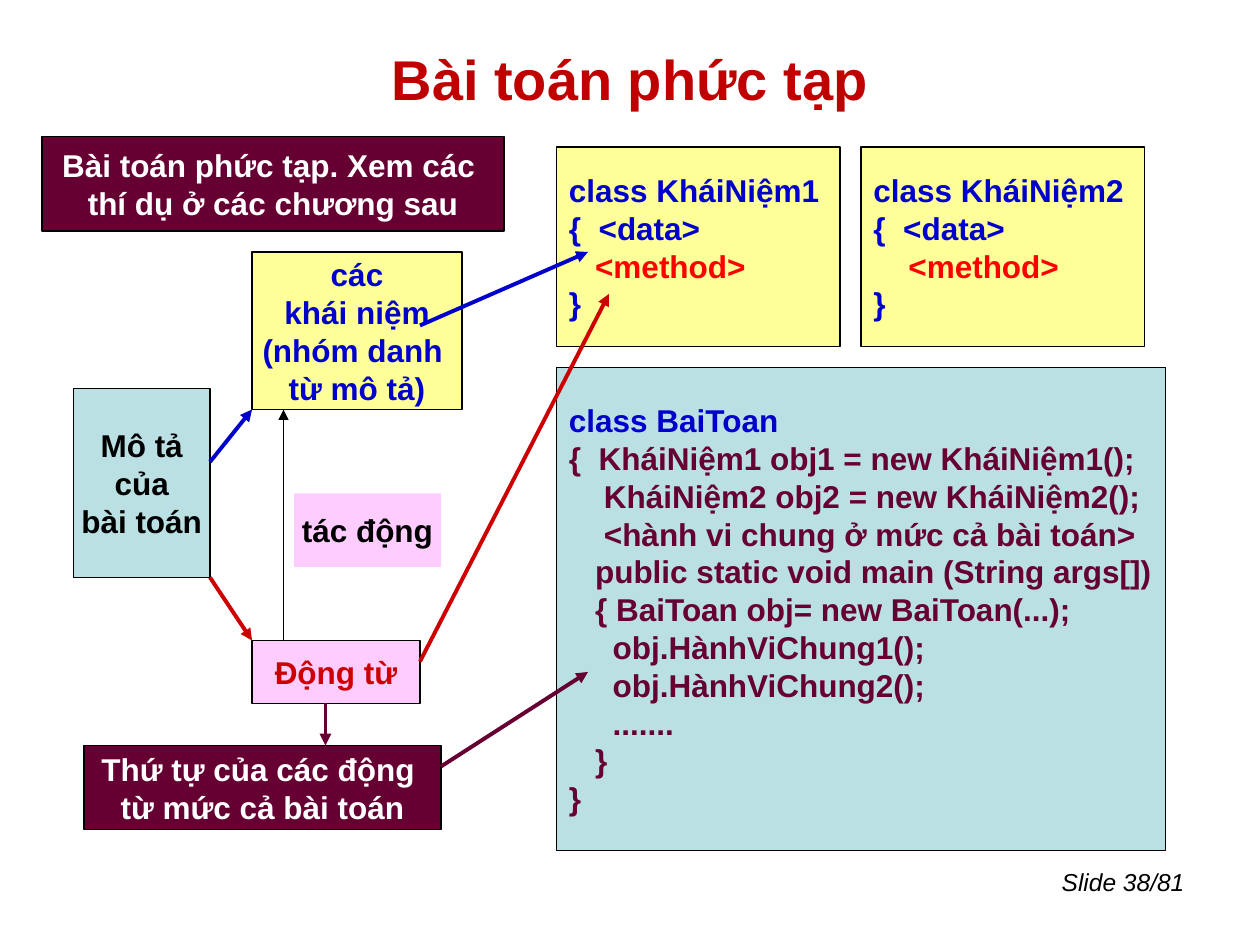
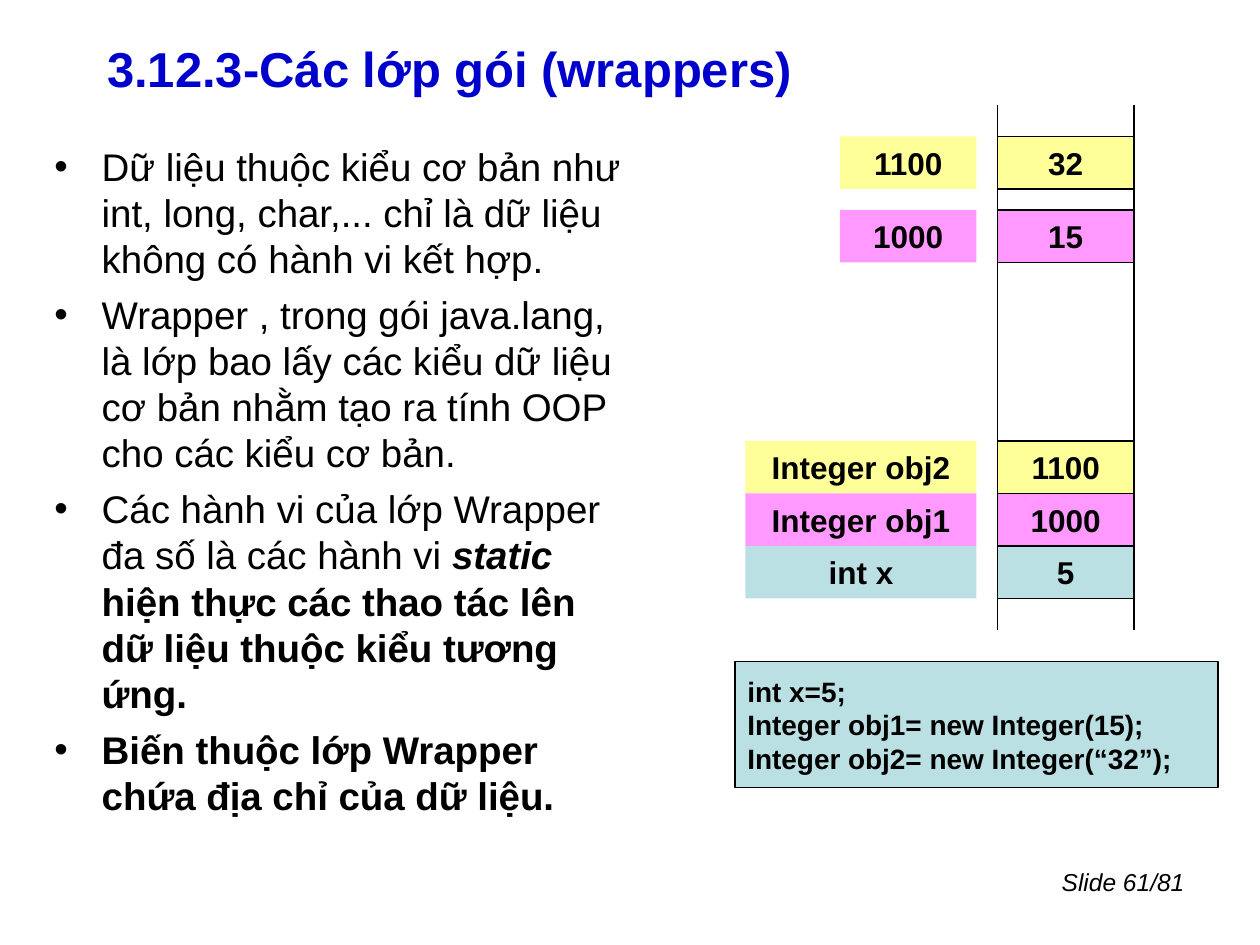
from lxml import etree
from pptx import Presentation
from pptx.dml.color import RGBColor
from pptx.enum.shapes import MSO_CONNECTOR as Connector, MSO_SHAPE as Shape
from pptx.enum.text import MSO_ANCHOR as Anchor, PP_ALIGN as Align
from pptx.oxml.ns import qn
from pptx.util import Pt

# Shared look
FONT = "Arial"
BLACK, WHITE = "000000", "FFFFFF"
BLUE, RED, BRIGHT_RED, DARK_RED = "0000CC", "CC0000", "FF0000", "C00000"
MAROON, TEAL, YELLOW = "660033", "BBE0E3", "FFFF99"
PINK, PALE_PINK = "FF99FF", "FFCCFF"
THIN, THICK = 0.75, 2.25
FOOTER_AREA = (570, 492, 114, 37)
SLIDE_COUNT = 81


def line(*spans, **layout):
    """One paragraph: spans are text or (text, format); layout sets its indents."""
    return spans, layout


def concept_class(name, method_indent):
    return [name, line("{\t<data>", left=17, hang=17),
            line(("<method>", {"color": BRIGHT_RED}), left=method_indent), "}"]


# Slide 1 content: lines, area, fill, text colour, alignment, outlined
BAI_TOAN_CODE = [
    line(("class BaiToan", {"color": BLUE})),
    line("{\tKháiNiệm1 obj1 = new KháiNiệm1();", left=17, hang=17),
    line("KháiNiệm2 obj2 = new KháiNiệm2();", left=20),
    line("<hành vi chung ở mức cả bài toán>", left=20),
    line("public static void main (String args[])", left=15),
    line("{ BaiToan obj= new BaiToan(...);", left=15),
    line("obj.HànhViChung1();", left=25),
    line("obj.HànhViChung2();", left=25),
    line(".......", left=25),
    line("}", left=15),
    "}",
]
PROBLEM_BOXES = [
    (["Mô tả", "của", "bài toán"], (42, 222, 78, 108), TEAL, BLACK, Align.CENTER, True),
    (["các", "khái niệm", "(nhóm danh ", "từ mô tả)"], (144, 144, 120, 90),
     YELLOW, BLUE, Align.CENTER, True),
    (["Động từ"], (144, 366, 96, 36), PALE_PINK, RED, Align.CENTER, True),
    (["tác động"], (168, 282, 84, 42), PALE_PINK, BLACK, Align.CENTER, False),
    (["Bài toán phức tạp. Xem các ", "thí dụ ở các chương sau"], (24, 78, 264, 54),
     MAROON, WHITE, Align.CENTER, True),
    (["Thứ tự của các động ", "từ mức cả bài toán"], (48, 426, 204, 48),
     MAROON, WHITE, Align.CENTER, True),
    (concept_class("class KháiNiệm1", 15), (318, 84, 162, 114),
     YELLOW, BLUE, Align.LEFT, True),
    (concept_class("class KháiNiệm2", 20), (492, 84, 162, 114),
     YELLOW, BLUE, Align.LEFT, True),
    (BAI_TOAN_CODE, (318, 210, 348, 276), TEAL, MAROON, Align.LEFT, True),
]
# start, end, colour, width
PROBLEM_ARROWS = [
    ((120, 264), (144, 234), BLUE, THICK),
    ((120, 330), (144, 366), RED, THICK),
    ((162, 366), (162, 234), BLACK, THIN),
    ((186, 402), (186, 426), MAROON, THICK),
    ((252, 438), (336, 384), MAROON, THICK),
    ((240, 186), (336, 144), BLUE, THICK),
    ((240, 378), (348, 168), RED, THICK),
]

# Slide 2 content
WRAPPER_POINTS = [
    ["Dữ liệu thuộc kiểu cơ bản như int, long, char,... chỉ là dữ liệu "
     "không có hành vi kết hợp."],
    ["Wrapper , trong gói java.lang, là lớp bao lấy các kiểu dữ liệu cơ bản "
     "nhằm tạo ra tính OOP cho các kiểu cơ bản."],
    ["Các hành vi của lớp Wrapper đa số là các hành vi ",
     ("static", {"bold": True, "italic": True}),
     (" hiện thực các thao tác lên dữ liệu thuộc kiểu tương ứng.", {"bold": True})],
    [("Biến thuộc lớp Wrapper chứa địa chỉ của dữ liệu.", {"bold": True})],
]
WRAPPER_CODE = ["int x=5;", "Integer obj1= new Integer(15);",
                "Integer obj2= new Integer(“32”);"]
# Memory: top, gap between rows, label width, rows of (label, value, fill)
MEMORY_BLOCKS = [
    (78, 12, 78, [("1100", "32", YELLOW), ("1000", "15", PINK)]),
    (252, 0, 132, [("Integer obj2", "1100", YELLOW), ("Integer obj1", "1000", PINK),
                   ("int x", "5", TEAL)]),
]
MEMORY_LEFT, MEMORY_WIDTH, CELL_HEIGHT, LABEL_GAP = 570, 78, 30, 12
MEMORY_TOP, MEMORY_BOTTOM = 60, 360


def rgb(color):
    return RGBColor.from_string(color)


def points(values):
    return [Pt(value) for value in values]


def write_text(frame, lines, size=18, color=BLACK, bold=False, italic=False,
               align=Align.LEFT, space_before=0, bullet=None):
    for index, entry in enumerate(lines):
        spans, layout = line(entry) if isinstance(entry, str) else entry
        para = frame.add_paragraph() if index else frame.paragraphs[0]
        para.alignment = align
        para.space_before = Pt(space_before)
        properties = para._p.get_or_add_pPr()
        properties.set("marL", str(Pt(layout.get("left", 0))))
        properties.set("indent", str(Pt(-layout.get("hang", 0))))
        if bullet:
            etree.SubElement(properties, qn("a:buFont"), typeface=FONT)
            etree.SubElement(properties, qn("a:buChar"), char=bullet)
        for span in spans:
            text, changes = (span, {}) if isinstance(span, str) else span
            style = {"color": color, "bold": bold, "italic": italic, **changes}
            run = para.add_run()
            run.text = text
            run.font.name, run.font.size = FONT, Pt(size)
            run.font.bold, run.font.italic = style["bold"], style["italic"]
            run.font.color.rgb = rgb(style["color"])


def add_text(slide, area, lines, **text_format):
    box = slide.shapes.add_textbox(*points(area))
    box.text_frame.word_wrap = True
    write_text(box.text_frame, lines, **text_format)


def add_box(slide, lines, area, fill, outlined=True, **text_format):
    box = slide.shapes.add_shape(Shape.RECTANGLE, *points(area))
    box.shadow.inherit = False
    box.fill.solid()
    box.fill.fore_color.rgb = rgb(fill)
    if outlined:
        box.line.color.rgb = rgb(BLACK)
        box.line.width = Pt(THIN)
    else:
        box.line.fill.background()
    box.text_frame.word_wrap = False
    box.text_frame.vertical_anchor = Anchor.MIDDLE
    write_text(box.text_frame, lines, bold=True, **text_format)


def add_line(slide, start, end, color=BLACK, width=THIN, arrow=False):
    connector = slide.shapes.add_connector(Connector.STRAIGHT, *points(start + end))
    connector.line.color.rgb = rgb(color)
    connector.line.width = Pt(width)
    if arrow:
        etree.SubElement(connector.line._get_or_add_ln(), qn("a:tailEnd"), type="triangle")
    etree.SubElement(connector._element.spPr, qn("a:effectLst"))


def add_slide(deck, number, title, area, **title_format):
    slide = deck.slides.add_slide(deck.slide_layouts[5])
    holder = slide.shapes.title
    holder.left, holder.top, holder.width, holder.height = points(area)
    holder.text_frame.vertical_anchor = Anchor.MIDDLE
    write_text(holder.text_frame, [title], bold=True, **title_format)
    add_text(slide, FOOTER_AREA, [f"Slide {number}/{SLIDE_COUNT}"],
             size=14, italic=True, align=Align.RIGHT)
    return slide


def build_problem_slide(deck):
    slide = add_slide(deck, 38, "Bài toán phức tạp", (36, 22, 648, 45),
                      size=32, color=DARK_RED, align=Align.CENTER)
    for lines, area, fill, color, align, outlined in PROBLEM_BOXES:
        add_box(slide, lines, area, fill, outlined, color=color, align=align)
    for start, end, color, width in PROBLEM_ARROWS:
        add_line(slide, start, end, color, width, arrow=True)


def build_wrapper_slide(deck):
    slide = add_slide(deck, 61, "3.12.3-Các lớp gói (wrappers)", (54, 18, 612, 42),
                      size=28, color=BLUE)
    bullets = [line(*spans, left=27, hang=27) for spans in WRAPPER_POINTS]
    add_text(slide, (24, 78, 342, 396), bullets, size=22, space_before=5.5, bullet="•")

    # Memory cells with their labels on the left
    for top, gap, label_width, rows in MEMORY_BLOCKS:
        label_left = MEMORY_LEFT - LABEL_GAP - label_width
        for index, (label, value, fill) in enumerate(rows):
            row_top = top + index * (CELL_HEIGHT + gap)
            add_box(slide, [label], (label_left, row_top, label_width, CELL_HEIGHT),
                    fill, outlined=False, align=Align.CENTER)
            add_box(slide, [value], (MEMORY_LEFT, row_top, MEMORY_WIDTH, CELL_HEIGHT),
                    fill, align=Align.CENTER)
    for rail in (MEMORY_LEFT, MEMORY_LEFT + MEMORY_WIDTH):
        add_line(slide, (rail, MEMORY_TOP), (rail, MEMORY_BOTTOM))

    add_box(slide, WRAPPER_CODE, (420, 378, 276, 72), TEAL, size=16)


def main():
    deck = Presentation()
    deck.slide_width, deck.slide_height = Pt(720), Pt(540)
    build_problem_slide(deck)
    build_wrapper_slide(deck)
    deck.save("out.pptx")


if __name__ == "__main__":
    main()
